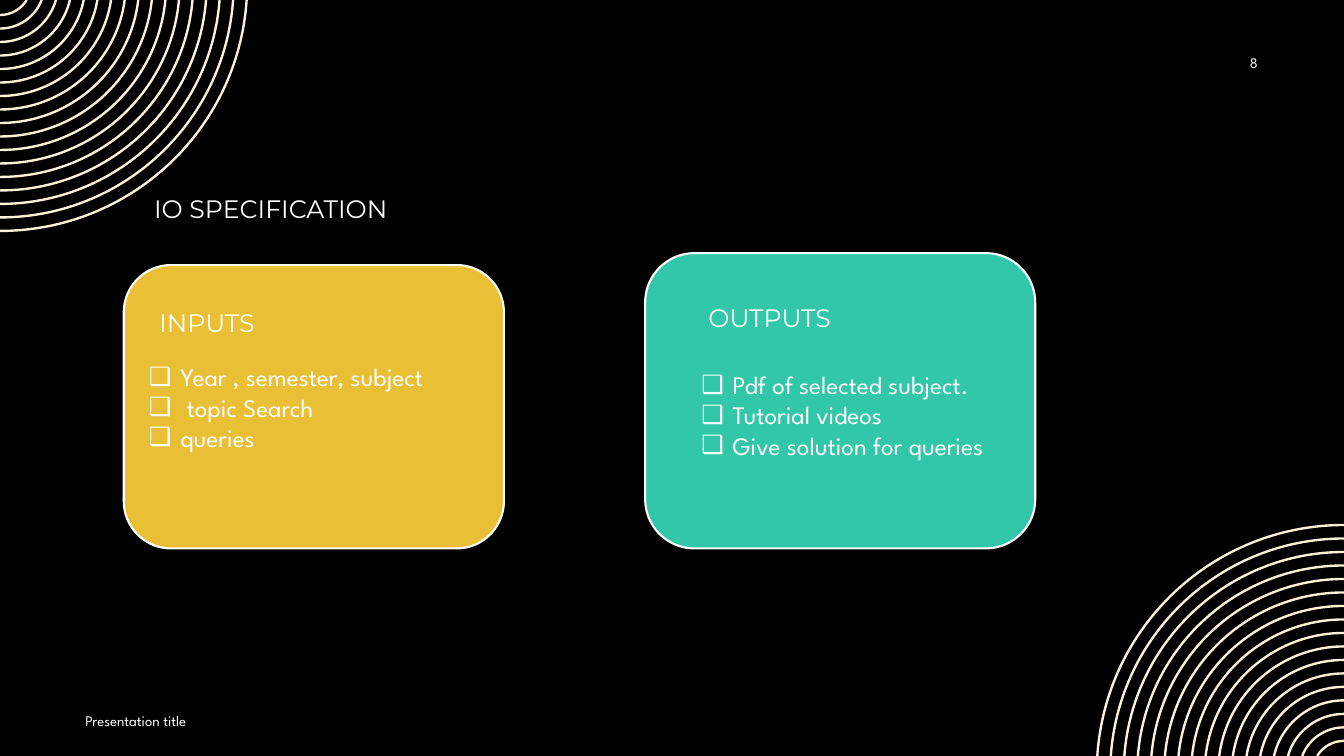
"""Build the IO specification slide with its input and output cards."""
from math import asin, cos, pi, sin, tan

from lxml.etree import SubElement
from pptx import Presentation
from pptx.dml.color import RGBColor
from pptx.enum.shapes import MSO_SHAPE as Preset
from pptx.enum.text import MSO_ANCHOR as Anchor, MSO_AUTO_SIZE as AutoSize, PP_ALIGN as Align
from pptx.oxml.ns import qn
from pptx.util import Cm, Pt

WIDTH, HEIGHT = 33.87, 19.05
HEADING_FONT, BODY_FONT = "Montserrat", "League Spartan"
WHITE, BLACK, CREAM = "FFFFFF", "000000", "FBF2D7"
BULLET, INDENT = "❑", 0.79

TITLE = {"text": "IO SPECIFICATION", "box": (3.63, 4.75, 7.85, 1.02)}
CARDS = [
    {
        "preset": Preset.FLOWCHART_ALTERNATE_PROCESS, "color": "E9BF35",
        "box": (3.12, 6.68, 9.58, 7.14),
        "heading": "INPUTS", "heading_box": (3.76, 7.62, 5.49, 1.8),
        "items": ["Year , semester, subject", " topic Search", "queries"],
        "items_box": (3.5, 8.97, 8.84, 2.57),
    },
    {
        "preset": Preset.ROUNDED_RECTANGLE, "color": "32C7A9",
        "box": (16.26, 6.38, 9.83, 7.44),
        "heading": "OUTPUTS", "heading_box": (17.6, 7.49, 3.96, 1.02),
        "items": ["Pdf of selected subject.", "Tutorial videos", "Give solution for queries"],
        "items_box": (17.42, 9.17, 8.84, 2.57),
    },
]
SMALL_TEXTS = [
    {"text": "Presentation title", "box": (1.9, 17.65, 21.59, 1.02), "align": Align.LEFT},
    {"text": "8", "box": (24.33, 1.07, 7.62, 1.02), "align": Align.RIGHT},
]
RINGS = {"count": 17, "radius": 6.23, "pitch": 0.34, "thickness": 0.06, "rise": 0.41}


def color(value):
    return RGBColor.from_string(value)


def assign(target, values):
    for name, value in values.items():
        setattr(target, name, value)


def place(shape, box):
    assign(shape, dict(zip(("left", "top", "width", "height"), map(Cm, box))))


def write(shape, lines, font, size=18, align=Align.LEFT, anchor=Anchor.TOP):
    frame = shape.text_frame
    frame.text = "\n".join(lines)
    assign(frame, {"word_wrap": True, "auto_size": AutoSize.NONE, "vertical_anchor": anchor})
    for paragraph in frame.paragraphs:
        assign(paragraph, {"alignment": align, "line_spacing": 1.0,
                           "space_before": Pt(0), "space_after": Pt(0)})
        for run in paragraph.runs:
            assign(run.font, {"name": font, "size": Pt(size), "bold": False})
            run.font.color.rgb = color(WHITE)


def add_bullets(shape):
    for paragraph in shape.text_frame.paragraphs:
        properties = paragraph._p.get_or_add_pPr()
        properties.set("marL", str(Cm(INDENT)))
        properties.set("indent", str(-Cm(INDENT)))
        SubElement(properties, qn("a:buChar"), char=BULLET)


def arc(radius):
    """Return start, two control points and end of an arc between two slide edges."""
    rise = RINGS["rise"]
    start = asin(rise / radius)
    reach = radius * 4 / 3 * tan((pi / 2 - start) / 4)
    x = radius * cos(start)
    return [
        (x, 0),
        (x - reach * sin(start), reach * cos(start)),
        (reach, radius - rise),
        (0, radius - rise),
    ]


def curve_segments(shape):
    """Turn every three straight segments into one Bezier curve."""
    outline = next(shape._element.iter(qn("a:path")))
    segments = outline.findall(qn("a:lnTo"))
    for index in range(0, len(segments), 3):
        group = segments[index:index + 3]
        curve = SubElement(outline, qn("a:cubicBezTo"))
        group[0].addprevious(curve)
        for segment in group:
            curve.append(segment[0])
            outline.remove(segment)


def add_rings(slide, locate):
    builder = None
    for index in range(RINGS["count"]):
        radius = RINGS["radius"] - index * RINGS["pitch"]
        first, *rest = [locate(x, y) for x, y in arc(radius)]
        if builder is None:
            builder = slide.shapes.build_freeform(*first)
        else:
            builder.move_to(*first)
        builder.add_line_segments(rest, close=False)
    rings = builder.convert_to_shape()
    curve_segments(rings)
    rings.shadow.inherit = False
    rings.fill.background()
    rings.line.color.rgb = color(CREAM)
    rings.line.width = Cm(RINGS["thickness"])


def add_card(slide, card):
    shape = slide.shapes.add_shape(card["preset"], *map(Cm, card["box"]))
    shape.shadow.inherit = False
    shape.fill.solid()
    shape.fill.fore_color.rgb = color(card["color"])
    shape.line.color.rgb = color(WHITE)
    shape.line.width = Pt(1.5)


def main():
    presentation = Presentation()
    assign(presentation, {"slide_width": Cm(WIDTH), "slide_height": Cm(HEIGHT)})
    slide = presentation.slides.add_slide(presentation.slide_layouts.get_by_name("Comparison"))
    slide.background.fill.solid()
    slide.background.fill.fore_color.rgb = color(BLACK)
    title, *bodies = list(slide.placeholders)

    add_rings(slide, lambda x, y: (Cm(x), Cm(y)))
    add_rings(slide, lambda x, y: (Cm(WIDTH - x), Cm(HEIGHT - y)))
    for small in SMALL_TEXTS:
        label = slide.shapes.add_textbox(*map(Cm, small["box"]))
        write(label, [small["text"]], BODY_FONT, 10.5, small["align"], Anchor.MIDDLE)

    place(title, TITLE["box"])
    write(title, [TITLE["text"]], HEADING_FONT)
    for card, heading, items in zip(CARDS, bodies[::2], bodies[1::2]):
        add_card(slide, card)
        place(heading, card["heading_box"])
        write(heading, [card["heading"]], HEADING_FONT)
        place(items, card["items_box"])
        write(items, card["items"], BODY_FONT, anchor=Anchor.MIDDLE)
        add_bullets(items)
        for placeholder in (heading, items):
            slide.shapes._spTree.append(placeholder._element)

    presentation.save("out.pptx")


if __name__ == "__main__":
    main()
